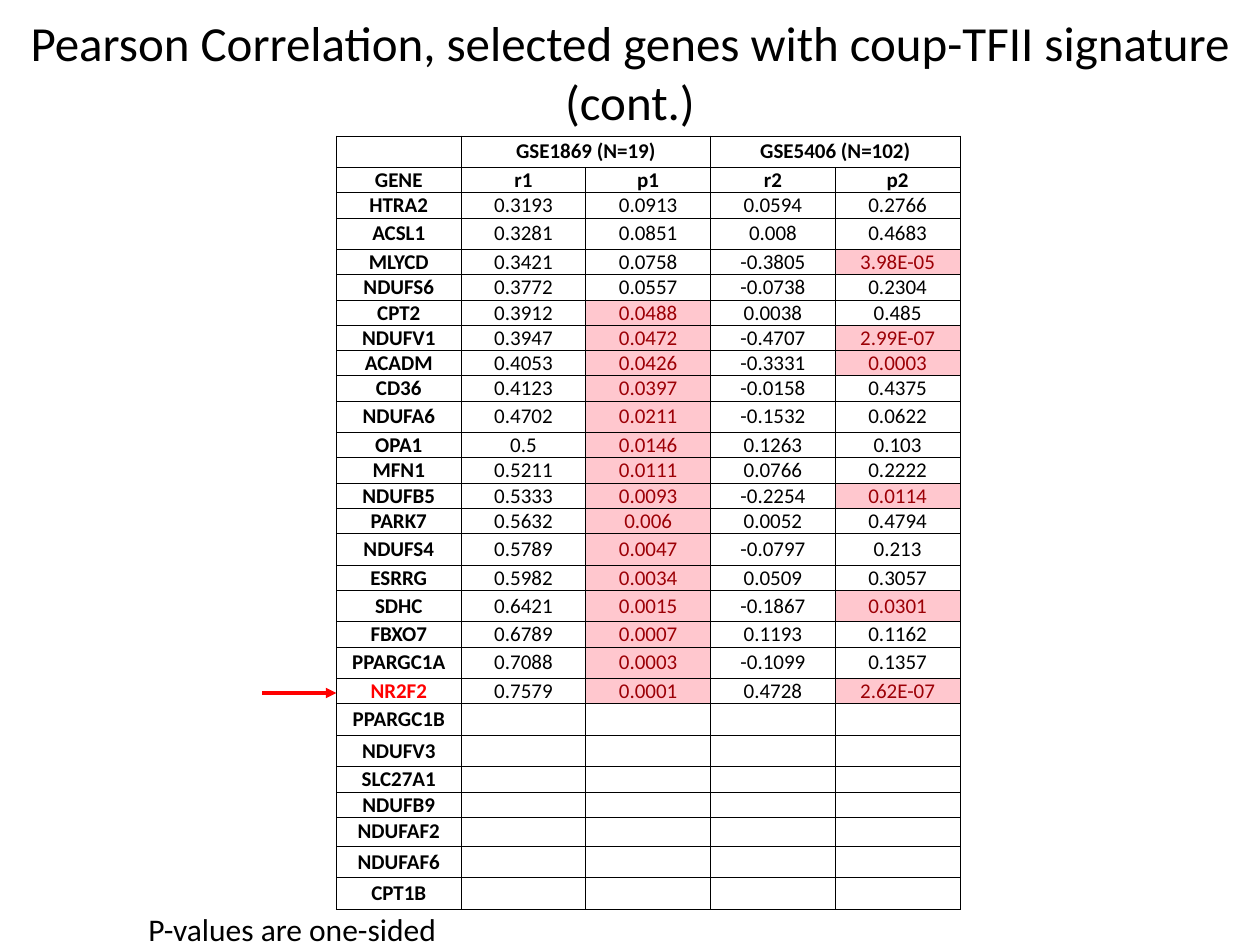
from lxml.etree import SubElement
from pptx import Presentation
from pptx.dml.color import RGBColor
from pptx.enum.shapes import MSO_CONNECTOR
from pptx.enum.text import MSO_ANCHOR, MSO_AUTO_SIZE as AUTO_SIZE, PP_ALIGN
from pptx.oxml.ns import qn
from pptx.util import Inches, Pt

BLACK = RGBColor(0x00, 0x00, 0x00)
RED = RGBColor(0xFF, 0x00, 0x00)
DARK_RED = RGBColor(0x9C, 0x00, 0x06)
PINK = RGBColor(0xFF, 0xC7, 0xCE)

SIGNIFICANCE = 0.05
P_COLUMNS = (2, 4)
MARKED_GENE = "NR2F2"
COLUMN_COUNT = 5
COLUMN_WIDTH = 0.99
SHORT_ROW, MIDDLE_ROW, TALL_ROW = 0.2, 0.23, 0.25
TALL_ROWS = {0, 3, 10, 15, 17, 19, 21, 22, 26, 27}
MIDDLE_ROWS = {25}

HEADERS = [
    ["", "GSE1869 (N=19)", "", "GSE5406 (N=102)", ""],
    ["GENE", "r1", "p1", "r2", "p2"],
]
CORRELATIONS = """
HTRA2 0.3193 0.0913 0.0594 0.2766
ACSL1 0.3281 0.0851 0.008 0.4683
MLYCD 0.3421 0.0758 -0.3805 3.98E-05
NDUFS6 0.3772 0.0557 -0.0738 0.2304
CPT2 0.3912 0.0488 0.0038 0.485
NDUFV1 0.3947 0.0472 -0.4707 2.99E-07
ACADM 0.4053 0.0426 -0.3331 0.0003
CD36 0.4123 0.0397 -0.0158 0.4375
NDUFA6 0.4702 0.0211 -0.1532 0.0622
OPA1 0.5 0.0146 0.1263 0.103
MFN1 0.5211 0.0111 0.0766 0.2222
NDUFB5 0.5333 0.0093 -0.2254 0.0114
PARK7 0.5632 0.006 0.0052 0.4794
NDUFS4 0.5789 0.0047 -0.0797 0.213
ESRRG 0.5982 0.0034 0.0509 0.3057
SDHC 0.6421 0.0015 -0.1867 0.0301
FBXO7 0.6789 0.0007 0.1193 0.1162
PPARGC1A 0.7088 0.0003 -0.1099 0.1357
NR2F2 0.7579 0.0001 0.4728 2.62E-07
PPARGC1B
NDUFV3
SLC27A1
NDUFB9
NDUFAF2
NDUFAF6
CPT1B
"""


def set_all(target, values):
    """Set every attribute in a dict of format values."""
    for name, value in values.items():
        setattr(target, name, value)


def row_height(row):
    """Return the height of a table row in inches."""
    if row in TALL_ROWS:
        return TALL_ROW
    return MIDDLE_ROW if row in MIDDLE_ROWS else SHORT_ROW


def table_rows():
    """Return header and gene rows, filled up to the full column count."""
    genes = [line.split() for line in CORRELATIONS.strip().splitlines()]
    return HEADERS + [gene + [""] * (COLUMN_COUNT - len(gene)) for gene in genes]


class SlideBuilder:
    """Holds the text style and the current slide."""

    font_name = "Calibri"
    frame_format = {"word_wrap": True, "vertical_anchor": MSO_ANCHOR.MIDDLE,
                    "auto_size": AUTO_SIZE.NONE}
    cell_format = {"margin_left": 0, "margin_right": 0, "margin_top": 0,
                   "margin_bottom": 0, "vertical_anchor": MSO_ANCHOR.MIDDLE}

    def __init__(self, presentation):
        """Add a slide with a title only."""
        self.slide = presentation.slides.add_slide(presentation.slide_layouts[5])

    def add_text(self, paragraph, text, size, color=BLACK, bold=False,
                 alignment=PP_ALIGN.CENTER):
        """Add one formatted run, or size the paragraph if it is empty."""
        paragraph.alignment = alignment
        if not text:
            SubElement(paragraph._p, qn("a:endParaRPr"), sz=str(size * 100))
            return
        run = paragraph.add_run()
        run.text = text
        set_all(run.font, {"name": self.font_name, "size": Pt(size), "bold": bold})
        run.font.color.rgb = color

    def title(self, text, left, top, width, height):
        """Move and fill the title placeholder."""
        shape = self.slide.shapes.title
        set_all(shape, {"left": Inches(left), "top": Inches(top),
                        "width": Inches(width), "height": Inches(height)})
        set_all(shape.text_frame, self.frame_format)
        self.add_text(shape.text_frame.paragraphs[0], text, 28)

    def note(self, text, left, top, width, height):
        """Add a left-aligned text box."""
        shape = self.slide.shapes.add_textbox(
            Inches(left), Inches(top), Inches(width), Inches(height))
        set_all(shape.text_frame, {"word_wrap": True,
                                   "auto_size": AUTO_SIZE.SHAPE_TO_FIT_TEXT})
        self.add_text(shape.text_frame.paragraphs[0], text, 18,
                      alignment=PP_ALIGN.LEFT)

    def arrow(self, start, end, y):
        """Add a horizontal red arrow."""
        connector = self.slide.shapes.add_connector(
            MSO_CONNECTOR.STRAIGHT, Inches(start), Inches(y), Inches(end), Inches(y))
        connector.line.color.rgb = RED
        connector.line.width = Pt(2)
        SubElement(connector.line._get_or_add_ln(), qn("a:tailEnd"), type="triangle")
        SubElement(connector._element.spPr, qn("a:effectLst"))

    def borders(self, cell, width=0.5):
        """Draw a thin black line on each side of a cell."""
        properties = cell._tc.get_or_add_tcPr()
        for side in ("a:lnL", "a:lnR", "a:lnT", "a:lnB"):
            line = SubElement(properties, qn(side), w=str(int(Pt(width))))
            fill = SubElement(line, qn("a:solidFill"))
            SubElement(fill, qn("a:srgbClr"), val=str(BLACK))

    def cell(self, cell, text, color, bold, fill):
        """Format and fill one table cell."""
        set_all(cell, self.cell_format)
        self.borders(cell)
        if fill is None:
            cell.fill.background()
        else:
            cell.fill.solid()
            cell.fill.fore_color.rgb = fill
        self.add_text(cell.text_frame.paragraphs[0], text, 12, color, bold)

    def gene_table(self, rows, left, top):
        """Add the correlation table and mark significant p-values."""
        heights = [row_height(row) for row in range(len(rows))]
        table = self.slide.shapes.add_table(
            len(rows), COLUMN_COUNT, Inches(left), Inches(top),
            Inches(COLUMN_WIDTH * COLUMN_COUNT), Inches(sum(heights))).table
        set_all(table, {"first_row": False, "horz_banding": False})
        for column in table.columns:
            column.width = Inches(COLUMN_WIDTH)
        for row, values in enumerate(rows):
            table.rows[row].height = Inches(heights[row])
            is_header = row < len(HEADERS)
            for column, text in enumerate(values):
                color, fill = BLACK, None
                if text == MARKED_GENE:
                    color = RED
                elif (not is_header and column in P_COLUMNS and text
                      and float(text) < SIGNIFICANCE):
                    color, fill = DARK_RED, PINK
                self.cell(table.cell(row, column), text, color,
                          is_header or column == 0, fill)
        for column in (1, 3):
            table.cell(0, column).merge(table.cell(0, column + 1))


def main():
    """Build and save the slide."""
    presentation = Presentation()
    set_all(presentation, {"slide_width": Inches(10), "slide_height": Inches(7.5)})
    builder = SlideBuilder(presentation)
    builder.arrow(2.08, 2.67, 5.5)
    builder.title("Pearson Correlation, selected genes with coup-TFII signature (cont.)",
                  0, 0.08, 10, 0.97)
    builder.note("P-values are one-sided", 1.08, 7.17, 4.83, 0.4)
    builder.gene_table(table_rows(), 2.67, 1.08)
    presentation.save("out.pptx")


main()
